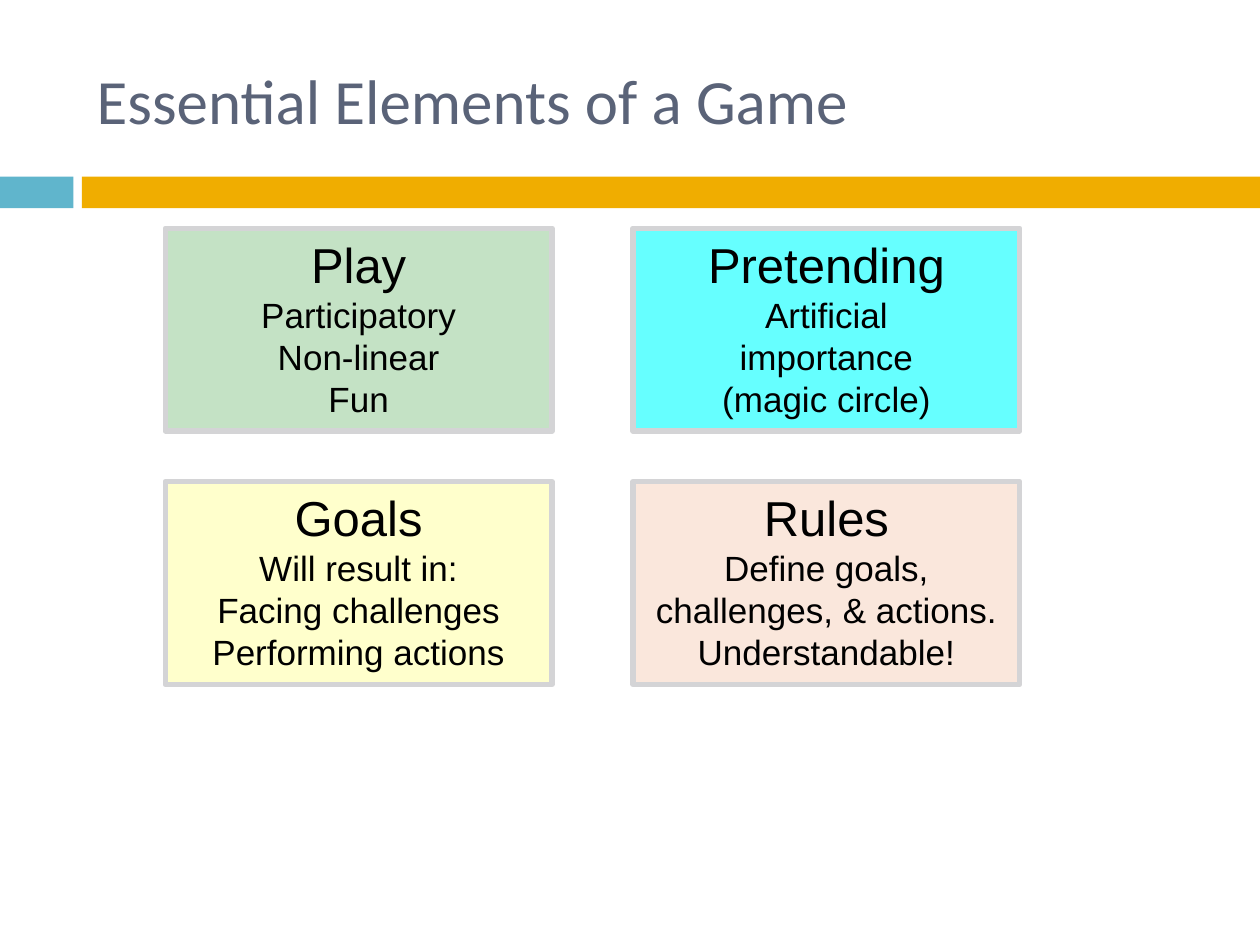
"""Build the slide on the four essential elements of a game."""
import pptx
import pptx.util
import pptx.dml.color
import pptx.enum.shapes
import pptx.enum.text

Cm, Pt = pptx.util.Cm, pptx.util.Pt
RGBColor = pptx.dml.color.RGBColor
RECTANGLE = pptx.enum.shapes.MSO_SHAPE.RECTANGLE
ANCHOR = pptx.enum.text.MSO_ANCHOR
CENTER = pptx.enum.text.PP_ALIGN.CENTER

BLUE = RGBColor(0x60, 0xB5, 0xCC)
AMBER = RGBColor(0xF0, 0xAD, 0x00)
SLATE = RGBColor(0x5A, 0x63, 0x78)
GREY = RGBColor(0xD4, 0xD4, 0xD6)
BLACK = RGBColor(0x00, 0x00, 0x00)
GREEN = RGBColor(0xC4, 0xE2, 0xC5)
CYAN = RGBColor(0x66, 0xFF, 0xFF)
YELLOW = RGBColor(0xFF, 0xFF, 0xCC)
PEACH = RGBColor(0xFA, 0xE7, 0xDC)

ELEMENTS = [
    (GREEN, ["Play", "Participatory", "Non-linear", "Fun"]),
    (CYAN, ["Pretending", "Artificial", "importance", "(magic circle)"]),
    (YELLOW, ["Goals", "Will result in:", "Facing challenges", "Performing actions"]),
    (PEACH, ["Rules", "Define goals, challenges, & actions.", "Understandable!"]),
]


def add_rect(s, left, top, width, height, color):
    sp = s.shapes.add_shape(RECTANGLE, Cm(left), Cm(top), Cm(width), Cm(height))
    sp.shadow.inherit = False
    sp.fill.solid()
    sp.fill.fore_color.rgb = color
    sp.line.fill.background()
    return sp


def add_paragraph(tf, i, text, font, size, color):
    p = tf.paragraphs[0] if i == 0 else tf.add_paragraph()
    p.text = text
    p.font.name = font
    p.font.size = Pt(size)
    p.font.color.rgb = color
    return p


prs = pptx.Presentation()
prs.slide_width, prs.slide_height = Cm(25.4), Cm(19.05)
s = prs.slides.add_slide(prs.slide_layouts[6])

add_rect(s, 0, 3.56, 1.48, 0.64, BLUE)
add_rect(s, 1.65, 3.56, 23.75, 0.64, AMBER)

title = s.shapes.add_textbox(Cm(1.7), Cm(0.64), Cm(22.66), Cm(2.74))
tf = title.text_frame
tf.word_wrap = True
tf.vertical_anchor = ANCHOR.MIDDLE
add_paragraph(tf, 0, "Essential Elements of a Game", "Calibri", 36, SLATE)

for n, (color, lines) in enumerate(ELEMENTS):
    row, col = divmod(n, 2)
    sp = add_rect(s, 3.33 + 9.43 * col, 4.6 + 5.11 * row, 7.8, 4.09, color)
    sp.line.color.rgb = GREY
    sp.line.width = Pt(3)
    tf = sp.text_frame
    tf.word_wrap = True
    tf.vertical_anchor = ANCHOR.TOP
    tf.auto_size = pptx.enum.text.MSO_AUTO_SIZE.SHAPE_TO_FIT_TEXT
    for i, text in enumerate(lines):
        p = add_paragraph(tf, i, text, "Arial", 20 if i else 28, BLACK)
        p.alignment = CENTER

prs.save("out.pptx")
